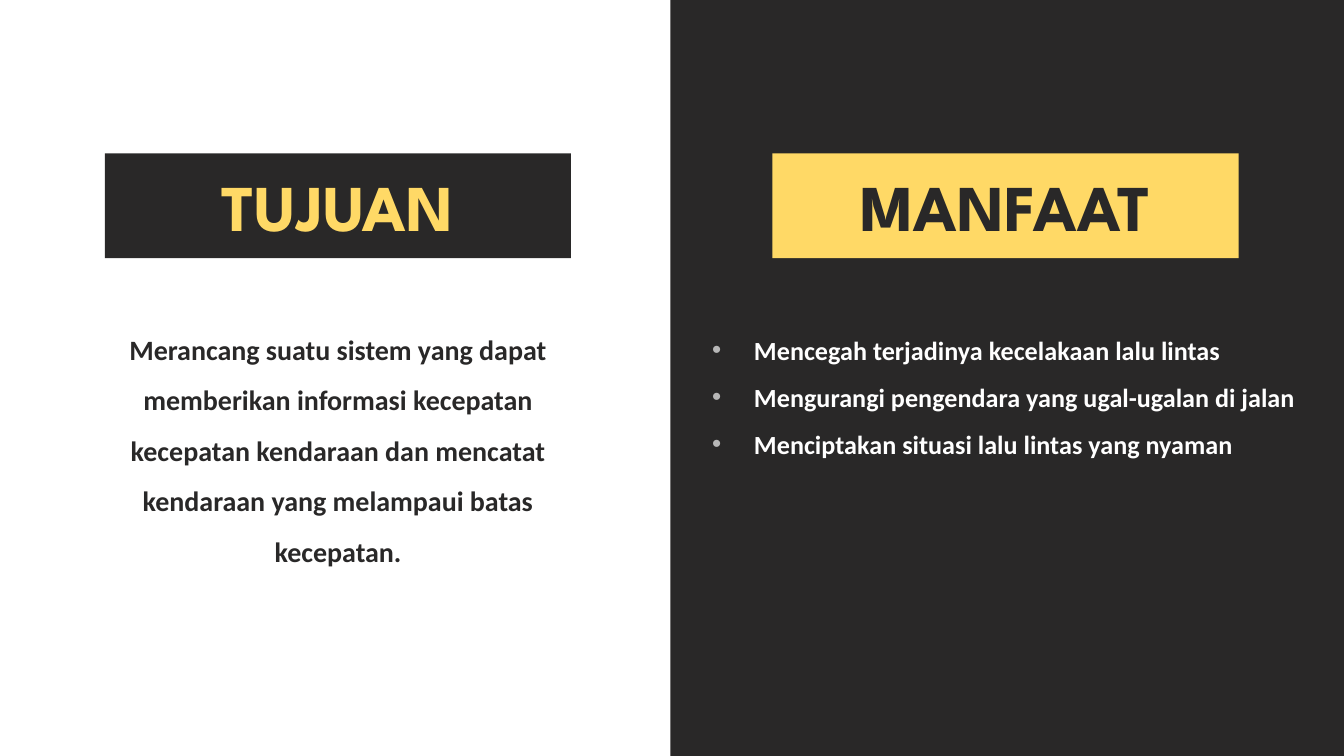
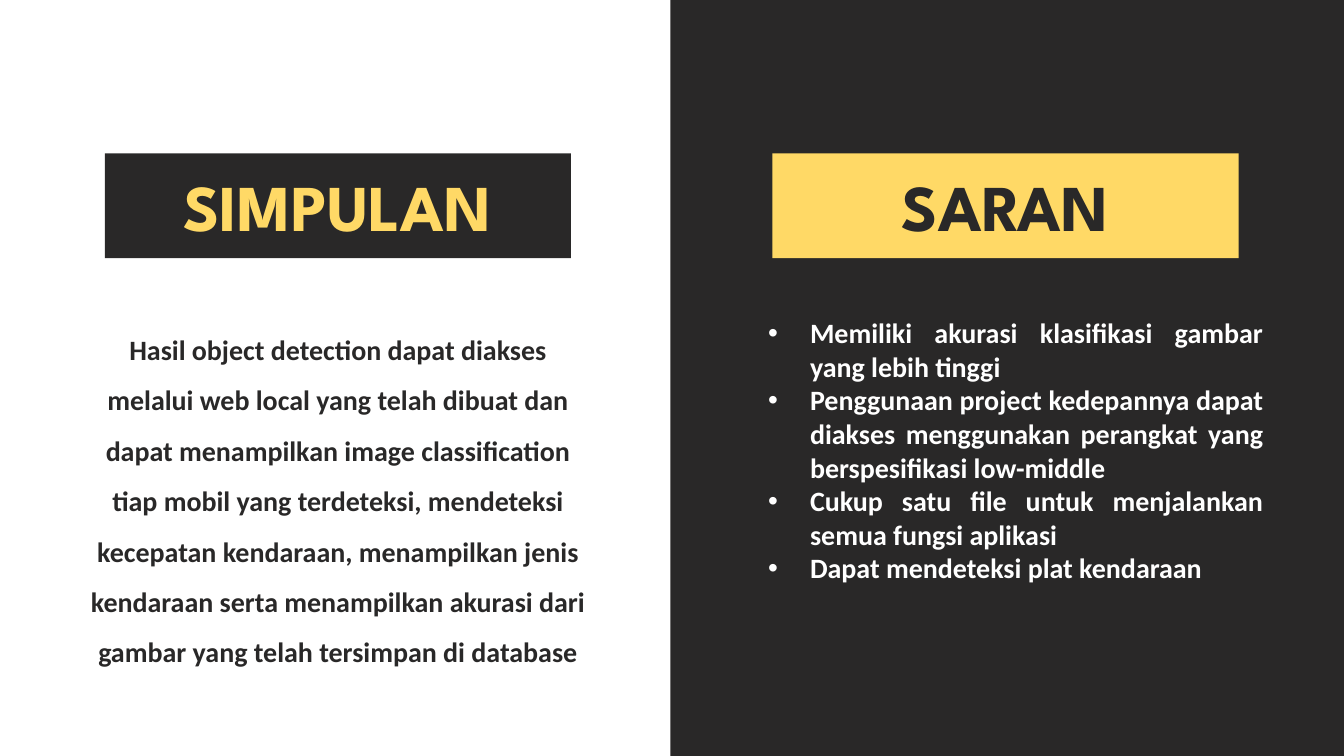
import pptx
import pptx.dml.color
import pptx.enum.shapes
import pptx.enum.text
import pptx.oxml.ns
import pptx.util
from lxml import etree

Cm = pptx.util.Cm
RGBColor = pptx.dml.color.RGBColor
ALIGN = pptx.enum.text.PP_ALIGN
ANCHOR = pptx.enum.text.MSO_ANCHOR
RECTANGLE = pptx.enum.shapes.MSO_SHAPE.RECTANGLE

# Shared look
DARK = RGBColor(0x29, 0x28, 0x28)
YELLOW = RGBColor(0xFF, 0xD9, 0x66)
WHITE = RGBColor(0xFF, 0xFF, 0xFF)
GREY = RGBColor(0xB7, 0xB7, 0xB7)
HEADING_FONT = "League Spartan"
BODY_FONT = "Calibri"
INSET = Cm(0.25)
HANGING = 0.79

# Shared places in cm: left, top, width, height
SLIDE_WIDTH, SLIDE_HEIGHT = 25.4, 14.29
PANEL = (0, 0, 12.67, SLIDE_HEIGHT)
LEFT_BAND = (1.98, 2.9, 8.81, 1.98)
RIGHT_BAND = (14.6, 2.9, 8.81, 1.98)
LEFT_BODY = (1.35, 5.72, 10.08, 6.68)


def fill_plain(shape, color):
    shape.fill.solid()
    shape.fill.fore_color.rgb = color
    shape.line.fill.background()


def add_rectangle(slide, place, color):
    rectangle = slide.shapes.add_shape(RECTANGLE, *map(Cm, place))
    rectangle.shadow.inherit = False
    fill_plain(rectangle, color)
    return rectangle


def prepare_frame(frame, anchor):
    frame.word_wrap = True
    frame.auto_size = pptx.enum.text.MSO_AUTO_SIZE.NONE
    frame.vertical_anchor = anchor
    frame.margin_left = frame.margin_right = INSET
    frame.margin_top = frame.margin_bottom = INSET


def add_run(paragraph, text, font_name, size, color):
    run = paragraph.add_run()
    run.text = text
    run.font.name = font_name
    run.font.size = pptx.util.Pt(size)
    run.font.bold = True
    run.font.color.rgb = color


def write_heading(band, text, color):
    prepare_frame(band.text_frame, ANCHOR.MIDDLE)
    paragraph = band.text_frame.paragraphs[0]
    paragraph.alignment = ALIGN.CENTER
    add_run(paragraph, text, HEADING_FONT, 35, color)


def add_title(slide, text):
    title = slide.shapes.title
    title.left, title.top, title.width, title.height = map(Cm, LEFT_BAND)
    fill_plain(title, DARK)
    write_heading(title, text, YELLOW)


def add_bullet(paragraph, indent, color):
    properties = paragraph._p.get_or_add_pPr()
    properties.set("marL", str(Cm(indent)))
    properties.set("indent", str(-Cm(HANGING)))
    qn = pptx.oxml.ns.qn
    bullet_color = etree.SubElement(properties, qn("a:buClr"))
    etree.SubElement(bullet_color, qn("a:srgbClr"), val=str(color))
    etree.SubElement(properties, qn("a:buFont"), typeface="Arial")
    etree.SubElement(properties, qn("a:buChar"), char="•")


def add_body(slide, place, texts, color, size=15, align=ALIGN.LEFT,
             spacing=1.5, indent=None, bullet_color=WHITE):
    frame = slide.shapes.add_textbox(*map(Cm, place)).text_frame
    prepare_frame(frame, ANCHOR.TOP)
    for number, text in enumerate(texts):
        paragraph = frame.add_paragraph() if number else frame.paragraphs[0]
        if indent is not None:
            add_bullet(paragraph, indent, bullet_color)
        paragraph.alignment = align
        paragraph.line_spacing = spacing
        add_run(paragraph, text, BODY_FONT, size, color)


def add_split_slide(deck, layout, left_heading, left_text, right_heading):
    slide = deck.slides.add_slide(layout)
    add_title(slide, left_heading)
    add_body(slide, LEFT_BODY, [left_text], DARK, align=ALIGN.CENTER)
    write_heading(add_rectangle(slide, RIGHT_BAND, YELLOW), right_heading, DARK)
    return slide


def main():
    deck = pptx.Presentation()
    deck.slide_width, deck.slide_height = Cm(SLIDE_WIDTH), Cm(SLIDE_HEIGHT)
    layout = deck.slide_layouts[5]
    layout.background.fill.solid()
    layout.background.fill.fore_color.rgb = DARK

    # Goal and benefits
    goals = add_split_slide(
        deck, layout, "TUJUAN",
        "Merancang suatu sistem yang dapat memberikan informasi kecepatan "
        "kecepatan kendaraan dan mencatat kendaraan yang melampaui batas "
        "kecepatan.",
        "MANFAAT")
    add_body(goals, (13.21, 5.77, 12.19, 6.32), [
        "Mencegah terjadinya kecelakaan lalu lintas",
        "Mengurangi pengendara yang ugal-ugalan di jalan",
        "Menciptakan situasi lalu lintas yang nyaman",
    ], WHITE, size=14, indent=HANGING, bullet_color=GREY)

    # The white half belongs to the layout, behind everything else
    panel = add_rectangle(goals, PANEL, WHITE)
    layout.shapes.element.insert(2, panel.element)

    # Conclusion and suggestions
    closing = add_split_slide(
        deck, layout, "SIMPULAN",
        "Hasil object detection dapat diakses melalui web local yang telah "
        "dibuat dan dapat menampilkan image classification tiap mobil yang "
        "terdeteksi, mendeteksi kecepatan kendaraan, menampilkan jenis "
        "kendaraan serta menampilkan akurasi dari gambar yang telah "
        "tersimpan di database",
        "SARAN")
    add_body(closing, (13.87, 5.72, 10.26, 6.68), [
        "Memiliki akurasi klasifikasi gambar yang lebih tinggi",
        "Penggunaan project kedepannya dapat diakses menggunakan perangkat "
        "yang berspesifikasi low-middle",
        "Cukup satu file untuk menjalankan semua fungsi aplikasi",
        "Dapat mendeteksi plat kendaraan",
    ], WHITE, align=ALIGN.JUSTIFY, spacing=1.0, indent=1.19)

    deck.save("out.pptx")


if __name__ == "__main__":
    main()
